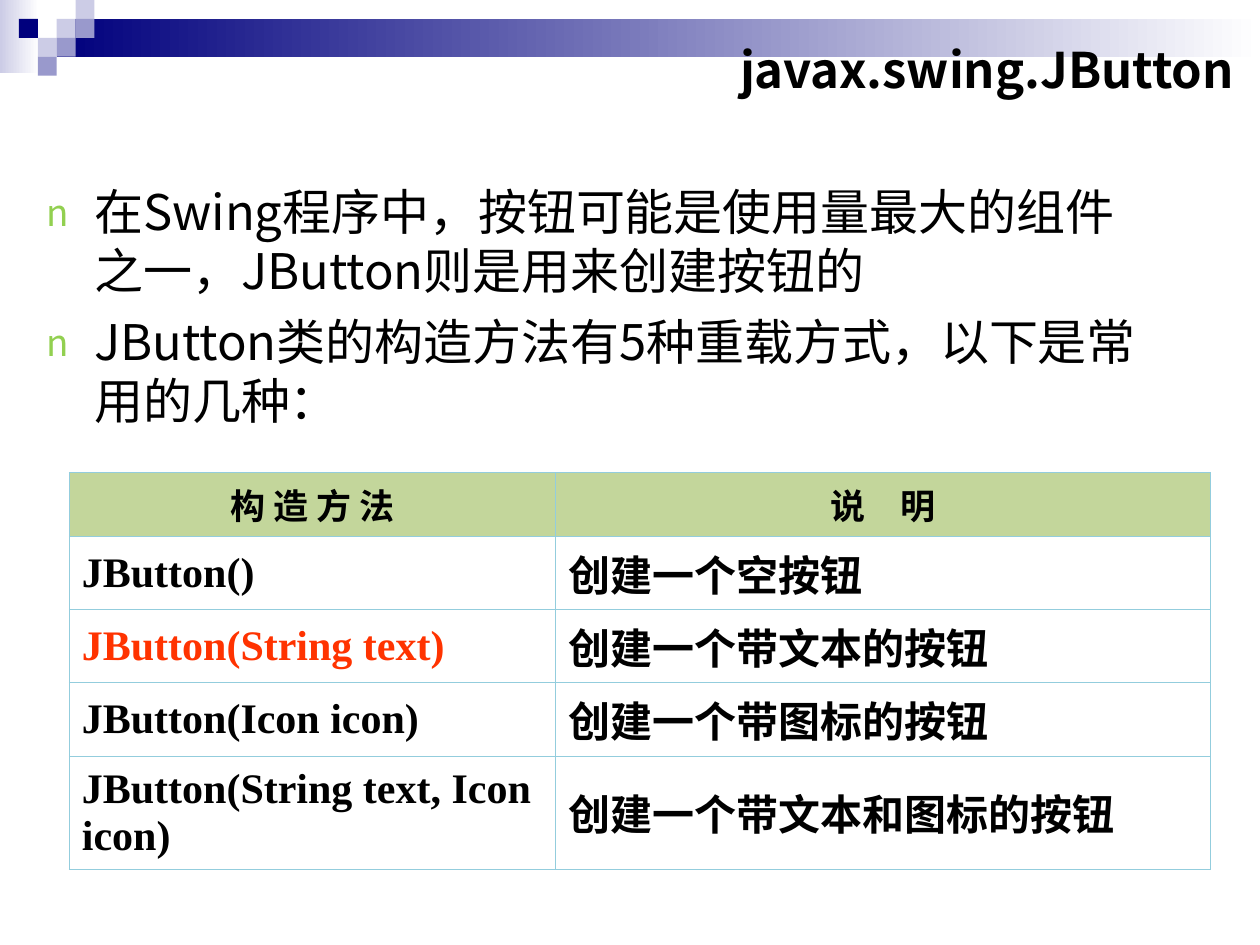
"""Build a slide that introduces the JButton constructors."""
from dataclasses import dataclass

from lxml import etree
from pptx import Presentation
from pptx.dml.color import RGBColor
from pptx.enum.shapes import MSO_SHAPE
from pptx.enum.text import MSO_ANCHOR, PP_ALIGN
from pptx.oxml.ns import qn
from pptx.util import Inches, Pt

RECT = MSO_SHAPE.RECTANGLE
MIDDLE = MSO_ANCHOR.MIDDLE
LEFT, CENTER, RIGHT = PP_ALIGN.LEFT, PP_ALIGN.CENTER, PP_ALIGN.RIGHT
BLACK = RGBColor(0x00, 0x00, 0x00)
WHITE = RGBColor(0xFF, 0xFF, 0xFF)
NAVY = RGBColor(0x00, 0x00, 0x7D)
PALE = RGBColor(0xCC, 0xCC, 0xE6)
LILAC = RGBColor(0x99, 0x99, 0xCC)
GREEN = RGBColor(0x92, 0xD0, 0x50)
OLIVE = RGBColor(0xC3, 0xD6, 0x9B)
SKY = RGBColor(0x93, 0xCD, 0xDD)
RED = RGBColor(0xFF, 0x33, 0x00)
SANS, SERIF = "Noto Sans CJK SC", "Times New Roman"
UNIT = 0.15


@dataclass
class Band:
    left: float
    top: float
    width: float
    height: float
    color: RGBColor


@dataclass
class Tile:
    col: int
    row: int
    color: RGBColor


@dataclass
class Style:
    size: int
    bold: bool = False
    font: str = SANS
    color: RGBColor = BLACK


@dataclass
class Entry:
    call: str
    note: str
    height: float = 0.58
    color: RGBColor = BLACK


BANDS = [Band(0, 0, 0.31, 0.58, PALE), Band(0.45, 0.15, 9.55, 0.3, NAVY)]
TILES = [
    Tile(3, 1, PALE), Tile(4, 0, PALE), Tile(4, 1, LILAC), Tile(2, 2, PALE),
    Tile(1, 1, NAVY), Tile(3, 2, LILAC), Tile(2, 3, LILAC),
]
POINTS = [
    "在Swing程序中，按钮可能是使用量最大的组件之一，JButton则是用来创建按钮的",
    "JButton类的构造方法有5种重载方式，以下是常用的几种：",
]
HEADS = ["构 造 方 法", "说　明"]
ENTRIES = [
    Entry("JButton()", "创建一个空按钮"),
    Entry("JButton(String text)", "创建一个带文本的按钮", color=RED),
    Entry("JButton(Icon icon)", "创建一个带图标的按钮"),
    Entry("JButton(String text, Icon icon)", "创建一个带文本和图标的按钮", 0.9),
]


def add_node(parent, tag: str, **attrs: str):
    return etree.SubElement(parent, qn(tag), attrs)


def add_rect(slide, left: float, top: float, width: float, height: float):
    box = slide.shapes.add_shape(
        RECT, Inches(left), Inches(top), Inches(width), Inches(height))
    box.shadow.inherit = False
    box.line.fill.background()
    return box


def draw_band(slide, band: Band) -> None:
    fill = add_rect(slide, band.left, band.top, band.width, band.height).fill
    fill.gradient()
    fill.gradient_angle = 0
    for stop, color in zip(fill.gradient_stops, (band.color, WHITE)):
        stop.color.rgb = color


def draw_tile(slide, tile: Tile) -> None:
    fill = add_rect(slide, tile.col * UNIT, tile.row * UNIT, UNIT, UNIT).fill
    fill.solid()
    fill.fore_color.rgb = tile.color


def write(para, text: str, style: Style, form: dict) -> None:
    for name, value in form.items():
        setattr(para, name, value)
    run = para.add_run()
    run.text = text
    face = {"name": style.font, "size": Pt(style.size), "bold": style.bold}
    for name, value in face.items():
        setattr(run.font, name, value)
    run.font.color.rgb = style.color
    add_node(run.font._element, "a:ea", typeface=SANS)


def add_bullet(para) -> None:
    props = para._p.get_or_add_pPr()
    props.set("marL", str(Inches(0.38)))
    props.set("indent", str(Inches(-0.38)))
    add_node(add_node(props, "a:buClr"), "a:srgbClr", val=str(GREEN))
    add_node(props, "a:buSzPct", val="75000")
    add_node(props, "a:buFont", typeface=SANS)
    add_node(props, "a:buChar", char="n")


def add_frame(slide, left: float, top: float, width: float, height: float):
    box = slide.shapes.add_textbox(
        Inches(left), Inches(top), Inches(width), Inches(height))
    box.text_frame.word_wrap = True
    return box.text_frame


def draw_points(slide) -> None:
    frame = add_frame(slide, 0.27, 1.39, 9, 4.77)
    for num, text in enumerate(POINTS):
        para = frame.add_paragraph() if num else frame.paragraphs[0]
        write(para, text, Style(28), {"space_before": Pt(7)})
        add_bullet(para)


def fill_cell(cell, text: str, style: Style, form: dict, back: RGBColor) -> None:
    cell.vertical_anchor = MIDDLE
    write(cell.text_frame.paragraphs[0], text, style, form)
    props = cell._tc.get_or_add_tcPr()
    for side in "LRTB":
        line = add_node(props, f"a:ln{side}", w=str(Pt(0.5)))
        add_node(add_node(line, "a:solidFill"), "a:srgbClr", val=str(SKY))
    cell.fill.solid()
    cell.fill.fore_color.rgb = back


def draw_table(slide) -> None:
    sizes = [0.51] + [entry.height for entry in ENTRIES]
    table = slide.shapes.add_table(
        len(sizes), 2, Inches(0.55), Inches(3.75),
        Inches(9.06), Inches(sum(sizes))).table
    table.first_row = table.horz_banding = False
    for col, width in zip(table.columns, (3.86, 5.2)):
        col.width = Inches(width)
    for row, height in zip(table.rows, sizes):
        row.height = Inches(height)
    head = {"alignment": CENTER, "space_before": Pt(5)}
    body = {"alignment": LEFT, "space_before": Pt(6)}
    for col, text in enumerate(HEADS):
        fill_cell(table.cell(0, col), text, Style(20, True), head, OLIVE)
    for row, entry in enumerate(ENTRIES, 1):
        cells = (entry.call, entry.color), (entry.note, BLACK)
        for col, (text, color) in enumerate(cells):
            style = Style(24, True, SERIF, color)
            fill_cell(table.cell(row, col), text, style, body, WHITE)


def main() -> None:
    deck = Presentation()
    deck.slide_width, deck.slide_height = Inches(10), Inches(7.5)
    slide = deck.slides.add_slide(deck.slide_layouts[6])
    for band in BANDS:
        draw_band(slide, band)
    for tile in TILES:
        draw_tile(slide, tile)
    title = add_frame(slide, 4.76, 0.21, 5.13, 0.67)
    title.vertical_anchor = MIDDLE
    write(title.paragraphs[0], "javax.swing.JButton", Style(28, True),
          {"alignment": RIGHT})
    draw_points(slide)
    draw_table(slide)
    deck.save("out.pptx")


if __name__ == "__main__":
    main()
